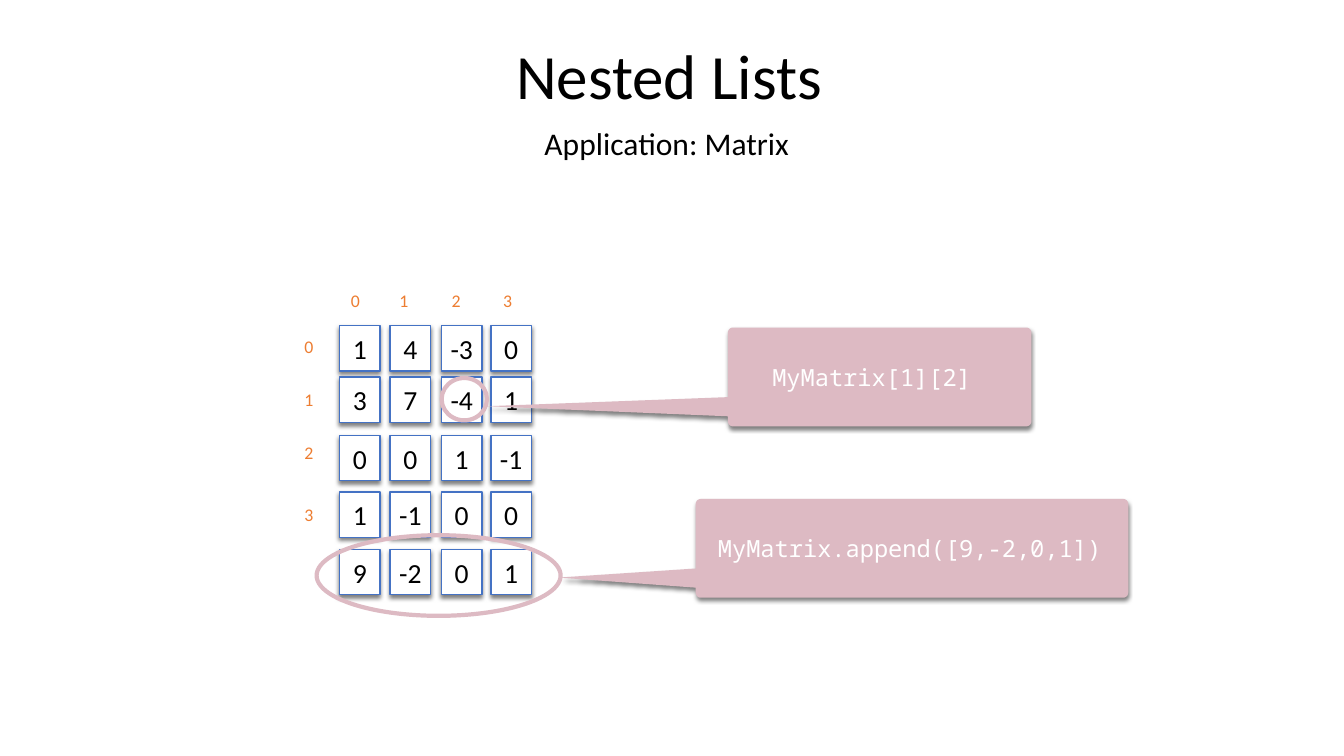
import math

from lxml import etree
from pptx import Presentation
from pptx.dml.color import RGBColor
from pptx.enum import shapes, text
from pptx.oxml.ns import qn
from pptx.util import Inches, Pt

COLORS = {"ink": "000000", "paper": "FFFFFF", "cell": "4472C4",
          "index": "ED7D31", "accent": "DDBAC3"}
MATRIX = [["1", "4", "-3", "0"],
          ["3", "7", "-4", "1"],
          ["0", "0", "1", "-1"],
          ["1", "-1", "0", "0"],
          ["9", "-2", "0", "1"]]
COLUMN_LEFTS = [3.37, 3.87, 4.38, 4.87]
ROW_TOPS = [3.23, 3.74, 4.32, 4.88, 5.45]
COLUMN_INDEX_LEFTS = [3.44, 3.92, 4.44, 4.95]
ROW_INDEX_TOPS = [3.29, 3.82, 4.34, 4.96]


class MatrixSlide:
    font, code_font = "Calibri", "Noto Sans Mono"
    inset = 0.04

    def __init__(self, prs):
        self.s = prs.slides.add_slide(prs.slide_layouts[0])

    def color(self, name):
        return RGBColor.from_string(COLORS[name])

    def set_text(self, sp, words, size, color="ink", font=None,
                 align=text.PP_ALIGN.LEFT, left_inset=inset):
        tf = sp.text_frame
        tf.text = words
        tf.word_wrap = False
        tf.auto_size = text.MSO_AUTO_SIZE.NONE
        tf.vertical_anchor = text.MSO_ANCHOR.MIDDLE
        tf.margin_left = Inches(left_inset)
        tf.margin_top = tf.margin_right = tf.margin_bottom = Inches(self.inset)
        p = tf.paragraphs[0]
        p.alignment = align
        p.space_before = Pt(0)
        p.line_spacing = 1.0
        p.font.name = font or self.font
        p.font.size = Pt(size)
        p.font.color.rgb = self.color(color)

    def heading(self, idx, words, size, box):
        sp = self.s.placeholders[idx]
        sp.left, sp.top, sp.width, sp.height = map(Inches, box)
        self.set_text(sp, words, size)

    def label(self, words, left, top):
        sp = self.s.shapes.add_textbox(*map(Inches, (left, top, 0.17, 0.29)))
        self.set_text(sp, words, 12.7, "index")

    def add_shadow(self, sp):
        sp.shadow.inherit = False
        effects = sp._element.spPr.find(qn("a:effectLst"))
        shadow = etree.SubElement(effects, qn("a:outerShdw"), blurRad=str(Pt(3)),
                                  dist=str(Pt(2)), dir="5400000", rotWithShape="0")
        black = etree.SubElement(shadow, qn("a:srgbClr"), val=COLORS["ink"])
        etree.SubElement(black, qn("a:alpha"), val="50000")

    def cell(self, value, left, top):
        sp = self.s.shapes.add_shape(shapes.MSO_SHAPE.RECTANGLE,
                                     *map(Inches, (left, top, 0.4, 0.45)))
        sp.fill.solid()
        sp.fill.fore_color.rgb = self.color("paper")
        sp.line.color.rgb = self.color("cell")
        sp.line.width = Pt(1)
        self.add_shadow(sp)
        self.set_text(sp, value, 19.7, align=text.PP_ALIGN.CENTER)

    def ring(self, *box):
        sp = self.s.shapes.add_shape(shapes.MSO_SHAPE.OVAL, *map(Inches, box))
        sp.shadow.inherit = False
        sp.fill.background()
        sp.line.color.rgb = self.color("accent")
        sp.line.width = Pt(3)

    def callout(self, code, tip, left, top, right, code_left):
        """Rounded box whose tail leaves the left side and ends at x = tip."""
        r, bottom = 0.05, top + 0.98
        corners = [(left + r, top + r, 180), (right - r, top + r, 270),
                   (right - r, bottom - r, 0), (left + r, bottom - r, 90)]
        outline = [(x + r * math.cos(math.radians(start + turn)),
                    y + r * math.sin(math.radians(start + turn)))
                   for x, y, start in corners for turn in range(0, 91, 15)]
        outline += [(left, top + 0.88), (tip, top + 0.78), (left, top + 0.69)]
        points = [(Inches(x), Inches(y)) for x, y in outline]
        builder = self.s.shapes.build_freeform(*points[0])
        builder.add_line_segments(points[1:], close=True)
        sp = builder.convert_to_shape()
        sp.fill.solid()
        sp.fill.fore_color.rgb = self.color("accent")
        sp.line.fill.background()
        self.add_shadow(sp)
        self.set_text(sp, code, 16.9, "paper", self.code_font,
                      left_inset=code_left - tip)


def main():
    prs = Presentation()
    prs.slide_width, prs.slide_height = Inches(13.33), Inches(7.5)
    slide = MatrixSlide(prs)
    slide.heading(0, "Nested Lists", 45, (5.08, 0.32, 3.28, 0.84))
    slide.heading(1, "Application: Matrix", 22.5, (5.36, 1.19, 2.52, 0.46))

    for top, values in zip(ROW_TOPS, MATRIX):
        for left, value in zip(COLUMN_LEFTS, values):
            slide.cell(value, left, top)
    for i, left in enumerate(COLUMN_INDEX_LEFTS):
        slide.label(str(i), left, 2.83)
    for i, top in enumerate(ROW_INDEX_TOPS):
        slide.label(str(i), 2.98, top)

    slide.ring(4.38, 3.75, 0.45, 0.42)
    slide.callout("MyMatrix[1][2]", 4.83, 7.22, 3.25, 10.23, 7.66)
    slide.callout("MyMatrix.append([9,-2,0,1])", 5.54, 6.9, 4.95, 11.19, 7.12)
    slide.ring(3.14, 5.31, 2.42, 0.8)
    prs.save("out.pptx")


if __name__ == "__main__":
    main()
